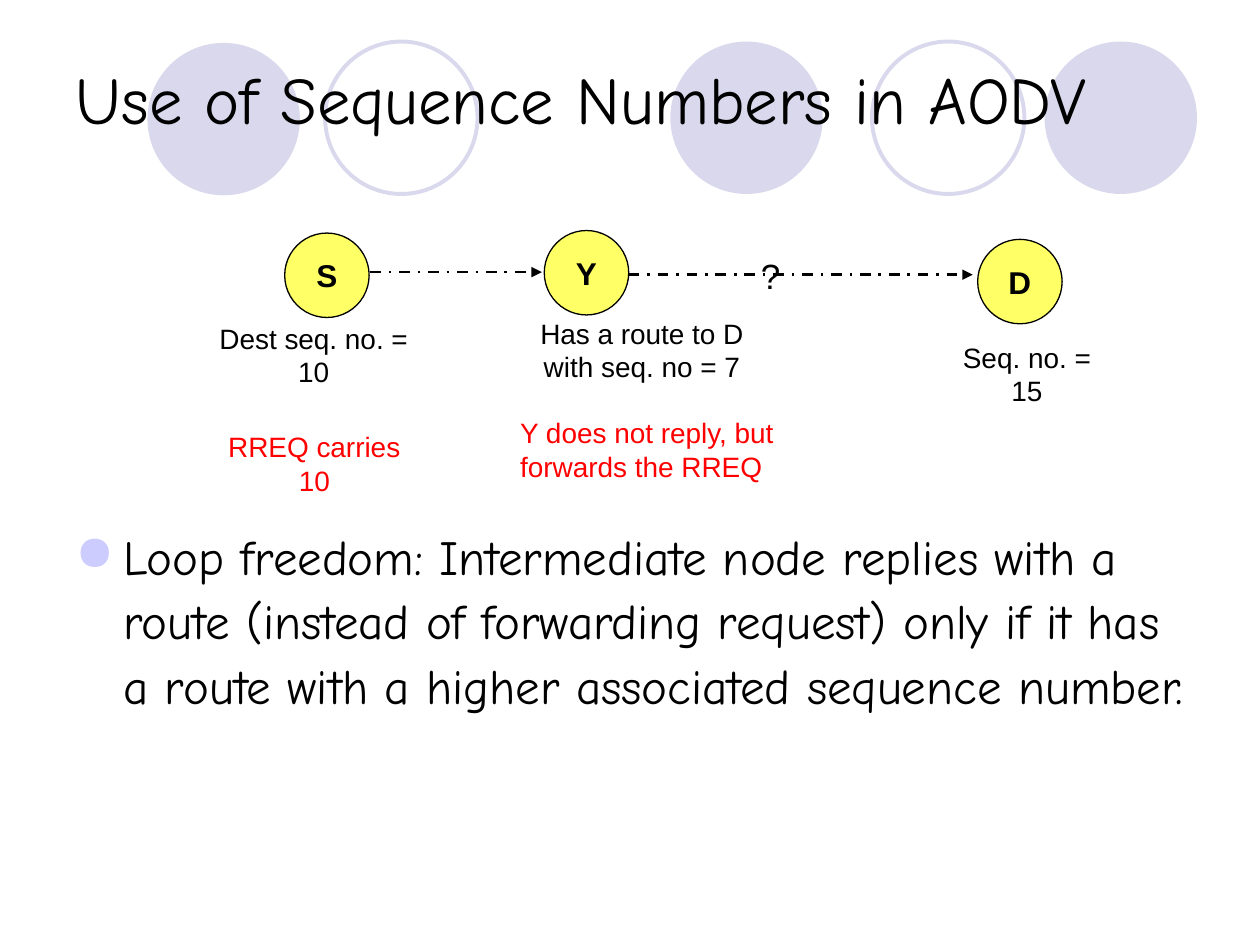
"""Build a slide on the use of sequence numbers in AODV route discovery."""
from dataclasses import dataclass

from lxml import etree
from pptx import Presentation
from pptx.dml.color import RGBColor
from pptx.enum.dml import MSO_LINE
from pptx.enum.shapes import MSO_CONNECTOR, MSO_SHAPE
from pptx.enum.text import MSO_ANCHOR, PP_ALIGN
from pptx.oxml.ns import qn
from pptx.slide import Slide
from pptx.text.text import _Paragraph
from pptx.util import Inches, Pt

ELLIPSE = MSO_SHAPE.OVAL
STRAIGHT = MSO_CONNECTOR.STRAIGHT
DASH_DOT = MSO_LINE.DASH_DOT
MIDDLE = MSO_ANCHOR.MIDDLE
LEFT, CENTER = PP_ALIGN.LEFT, PP_ALIGN.CENTER

WIDTH, HEIGHT = Inches(10), Inches(7.5)
COLUMNS, ROWS = 100, 75
RING_SIZE, NODE_SIZE = 12.1, 6.7


@dataclass(frozen=True)
class Theme:
    ink: RGBColor = RGBColor(0, 0, 0)
    alert: RGBColor = RGBColor(255, 0, 0)
    node: RGBColor = RGBColor(255, 255, 102)
    ornament: RGBColor = RGBColor(217, 216, 236)
    bullet: str = "CCCCFF"
    heading_font: str = "Comic Neue"
    label_font: str = "Arial"
    title_size: int = 38
    body_size: int = 28
    question_size: int = 20
    node_size: int = 18
    label_size: int = 16


THEME = Theme()


@dataclass(frozen=True)
class Circle:
    column: float
    row: float
    filled: bool = True


@dataclass(frozen=True)
class Node:
    name: str
    column: float
    row: float


@dataclass(frozen=True)
class Arrow:
    start: float
    end: float
    row: float


@dataclass(frozen=True)
class Label:
    lines: tuple[str, ...]
    column: float
    row: float
    columns: float
    rows: float
    color: RGBColor = THEME.ink
    size: int = THEME.label_size
    alignment: PP_ALIGN = CENTER


CIRCLES = (
    Circle(53.2, 3.3),
    Circle(82.9, 3.3),
    Circle(11.7, 3.4),
    Circle(69.2, 3.3, False),
    Circle(25.8, 3.3, False),
)
NODES = (Node("S", 22.6, 18.5), Node("Y", 43.2, 18.3), Node("D", 77.6, 19))
ARROWS = (Arrow(29.4, 43, 21.6), Arrow(49.9, 77.2, 21.8))
LABELS = (
    Label(("?",), 59.4, 19.7, 3.5, 4.4, size=THEME.question_size),
    Label(("Dest seq. no. = 10",), 14.9, 25, 20, 3.7),
    Label(("Has a route to D ", "with seq. no = 7"), 41.6, 24.6, 18.7, 6.4),
    Label(("Seq. no. = 15",), 73.9, 26.5, 15.2, 3.7),
    Label(("RREQ carries 10",), 15.6, 33.6, 18.7, 3.7, THEME.alert),
    Label(("Y does not reply, but", "forwards the RREQ"), 40.3, 32.5, 22.9, 6.4,
          THEME.alert, alignment=LEFT),
)
TITLE = "Use of Sequence Numbers in AODV"
BODY = ("Loop freedom: Intermediate node replies with a route (instead of "
        "forwarding request) only if it has a route with a higher associated "
        "sequence number.")


def across(columns: float) -> int:
    """Convert grid columns to a length."""
    return round(WIDTH * columns / COLUMNS)


def down(rows: float) -> int:
    """Convert grid rows to a length."""
    return round(HEIGHT * rows / ROWS)


def box(column: float, row: float, columns: float, rows: float) -> tuple[int, ...]:
    """Return left, top, width and height of a grid area."""
    return across(column), down(row), across(columns), down(rows)


def write(paragraph: _Paragraph, text: str, font: str, size: int,
          color: RGBColor = THEME.ink, alignment: PP_ALIGN = LEFT,
          bold: bool = False) -> None:
    """Fill and format one paragraph."""
    paragraph.text = text
    paragraph.alignment = alignment
    paragraph.font.name = font
    paragraph.font.size = Pt(size)
    paragraph.font.bold = bold
    paragraph.font.color.rgb = color


def draw_circle(slide: Slide, circle: Circle) -> None:
    """Draw a filled or outlined ornament behind the title."""
    shape = slide.shapes.add_shape(
        ELLIPSE, *box(circle.column, circle.row, RING_SIZE, RING_SIZE))
    shape.shadow.inherit = False
    if circle.filled:
        shape.fill.solid()
        shape.fill.fore_color.rgb = THEME.ornament
        shape.line.fill.background()
    else:
        shape.fill.background()
        shape.line.color.rgb = THEME.ornament
        shape.line.width = Pt(2.25)


def draw_title(slide: Slide) -> None:
    """Place the title in front of the ornaments."""
    title = slide.shapes.title
    title.left, title.top, title.width, title.height = box(5, 3, 90, 9.5)
    title.text_frame.vertical_anchor = MIDDLE
    write(title.text_frame.paragraphs[0], TITLE, THEME.heading_font, THEME.title_size)
    slide.shapes.element.append(title.element)


def draw_body(slide: Slide) -> None:
    """Draw the bulleted statement."""
    frame = slide.shapes.add_textbox(*box(5, 40.8, 90, 26.2)).text_frame
    frame.word_wrap = True
    paragraph = frame.paragraphs[0]
    paragraph.line_spacing = 1.1
    paragraph.space_before = Pt(7)
    properties = paragraph._p.get_or_add_pPr()
    properties.set("marL", str(across(3.8)))
    properties.set("indent", str(-across(3.8)))
    bullet_color = etree.SubElement(properties, qn("a:buClr"))
    etree.SubElement(bullet_color, qn("a:srgbClr"), val=THEME.bullet)
    etree.SubElement(properties, qn("a:buChar"), char="●")
    write(paragraph, BODY, THEME.heading_font, THEME.body_size)


def draw_node(slide: Slide, node: Node) -> None:
    """Draw a named network node."""
    shape = slide.shapes.add_shape(
        ELLIPSE, *box(node.column, node.row, NODE_SIZE, NODE_SIZE))
    shape.shadow.inherit = False
    shape.fill.solid()
    shape.fill.fore_color.rgb = THEME.node
    shape.line.color.rgb = THEME.ink
    shape.line.width = Pt(0.75)
    shape.text_frame.word_wrap = False
    shape.text_frame.vertical_anchor = MIDDLE
    write(shape.text_frame.paragraphs[0], node.name, THEME.label_font,
          THEME.node_size, alignment=CENTER, bold=True)


def draw_arrow(slide: Slide, arrow: Arrow) -> None:
    """Draw a level dash-dot arrow."""
    connector = slide.shapes.add_connector(
        STRAIGHT, across(arrow.start), down(arrow.row),
        across(arrow.end), down(arrow.row))
    connector.line.color.rgb = THEME.ink
    connector.line.width = Pt(1.5)
    connector.line.dash_style = DASH_DOT
    etree.SubElement(connector.line._get_or_add_ln(), qn("a:tailEnd"), type="triangle")
    etree.SubElement(connector.element.spPr, qn("a:effectLst"))


def draw_label(slide: Slide, label: Label) -> None:
    """Draw a label with one paragraph per line."""
    frame = slide.shapes.add_textbox(
        *box(label.column, label.row, label.columns, label.rows)).text_frame
    frame.word_wrap = False
    for index, line in enumerate(label.lines):
        paragraph = frame.add_paragraph() if index else frame.paragraphs[0]
        write(paragraph, line, THEME.label_font, label.size, label.color, label.alignment)


def main() -> None:
    """Assemble and save the slide."""
    presentation = Presentation()
    presentation.slide_width, presentation.slide_height = WIDTH, HEIGHT
    slide = presentation.slides.add_slide(presentation.slide_layouts[5])
    for circle in CIRCLES:
        draw_circle(slide, circle)
    draw_title(slide)
    draw_body(slide)
    for node in NODES:
        draw_node(slide, node)
    for arrow in ARROWS:
        draw_arrow(slide, arrow)
    for label in LABELS:
        draw_label(slide, label)
    presentation.save("out.pptx")


if __name__ == "__main__":
    main()
